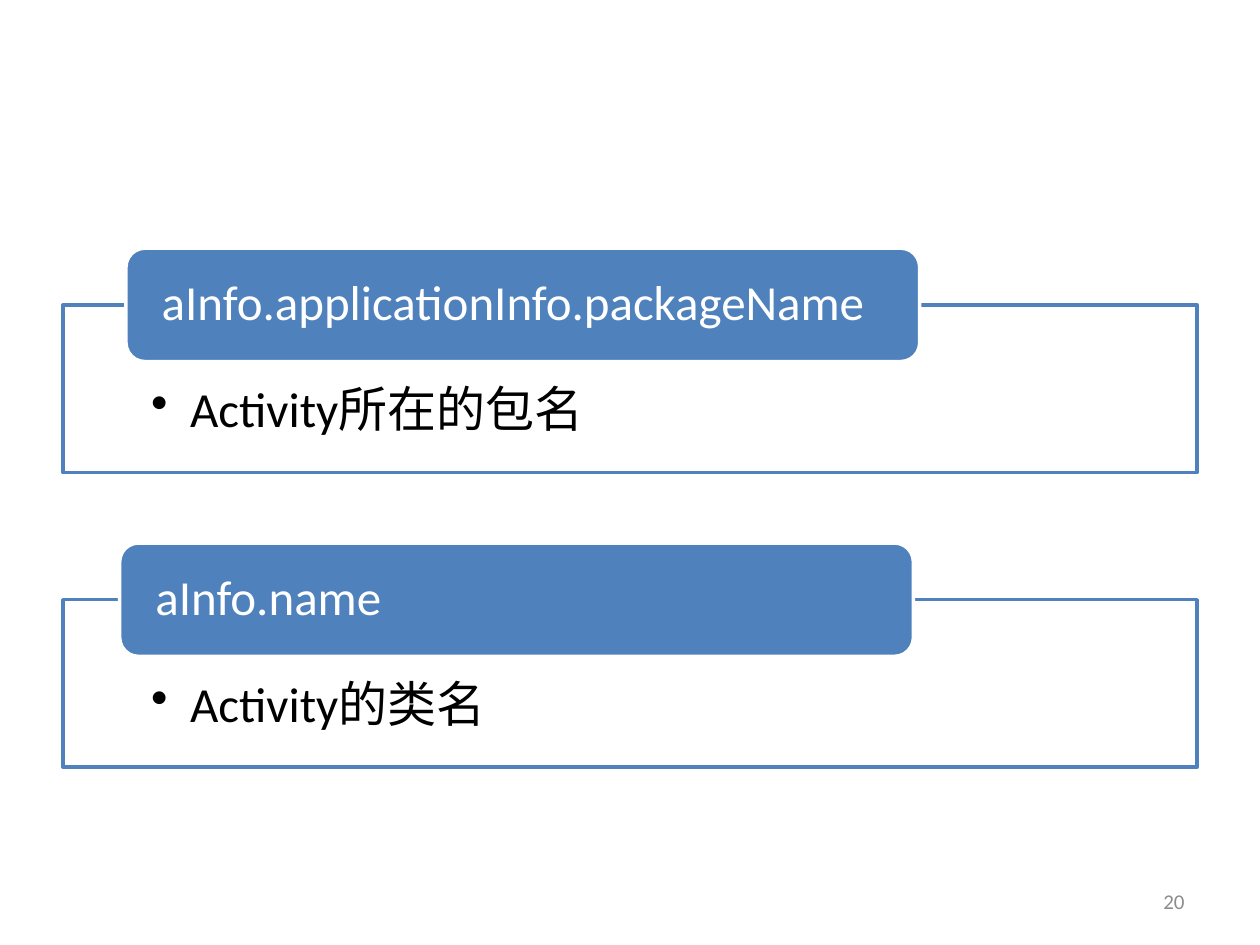
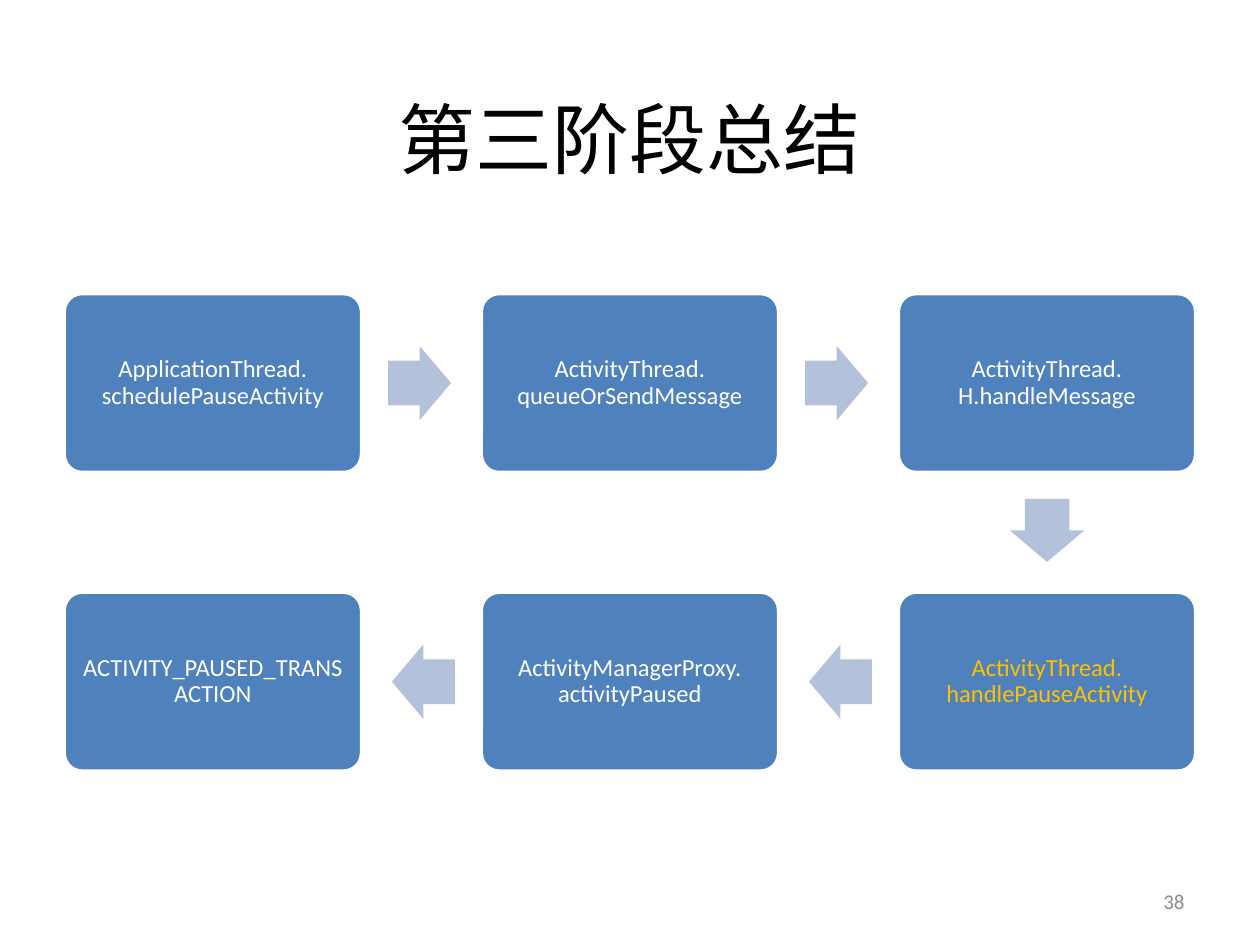
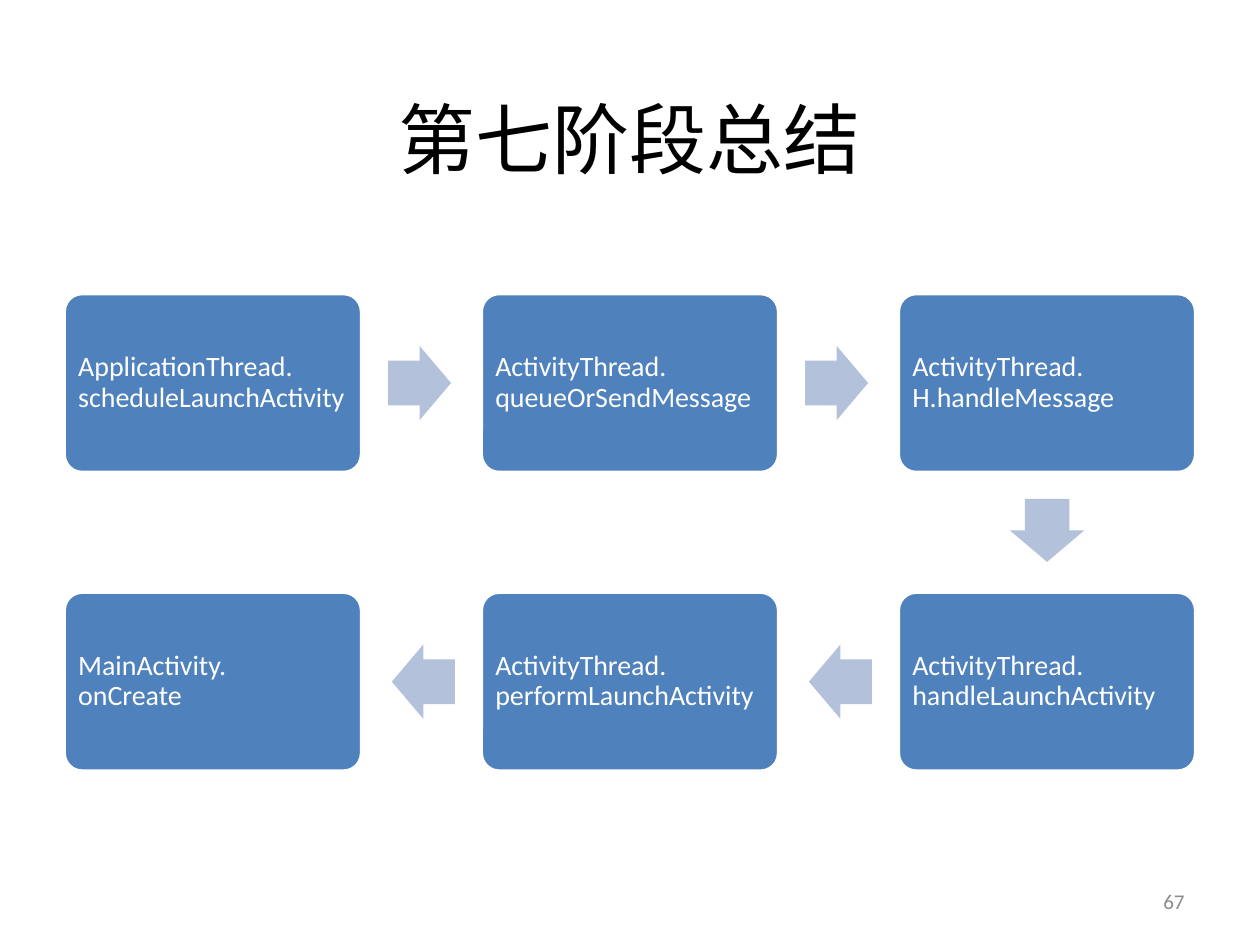
from dataclasses import dataclass
from itertools import pairwise

from lxml.etree import SubElement
from pptx import Presentation
from pptx.dml.color import RGBColor
from pptx.enum.shapes import MSO_SHAPE
from pptx.enum.text import MSO_ANCHOR, PP_ALIGN
from pptx.oxml.ns import qn
from pptx.util import Inches, Pt


@dataclass(frozen=True)
class Theme:
    """Colours, font and type sizes shared by the slides."""

    font: str = "Calibri"
    blue: RGBColor = RGBColor(0x4F, 0x81, 0xBD)
    arrow: RGBColor = RGBColor(0xB3, 0xC1, 0xDB)
    white: RGBColor = RGBColor(0xFF, 0xFF, 0xFF)
    black: RGBColor = RGBColor(0, 0, 0)
    highlight: RGBColor = RGBColor(0xFF, 0xC0, 0x00)
    grey: RGBColor = RGBColor(0x8C, 0x8C, 0x8C)
    title_size: int = 44
    panel_size: int = 28
    number_size: int = 12
    outline: int = 2


THEME = Theme()
TITLE_ONLY, BLANK = 5, 6
STEP_LEFT, STEP_TOP = 0.51, 2.33
STEP_WIDTH, STEP_HEIGHT = 2.36, 1.42
COLUMN_PITCH, ROW_PITCH = 3.31, 2.37
ARROW_LENGTH, ARROW_BREADTH, ARROW_GAP = 0.5, 0.59, 0.21
STEP_CELLS = [(0, 0), (1, 0), (2, 0), (2, 1), (1, 1), (0, 1)]
ARROW_ROTATION = {(1, 0): 0, (0, 1): 90, (-1, 0): 180}

PANELS = [
    (1, 1.97, "aInfo.applicationInfo.packageName", "Activity所在的包名"),
    (0.95, 4.31, "aInfo.name", "Activity的类名"),
]
PAUSE_STEPS = [
    "ApplicationThread.\nschedulePauseActivity",
    "ActivityThread.\nqueueOrSendMessage",
    "ActivityThread.\nH.handleMessage",
    "ActivityThread.\nhandlePauseActivity",
    "ActivityManagerProxy.\nactivityPaused",
    "ACTIVITY_PAUSED_TRANSACTION",
]
LAUNCH_STEPS = [
    "ApplicationThread.\nscheduleLaunchActivity",
    "ActivityThread.\nqueueOrSendMessage",
    "ActivityThread.\nH.handleMessage",
    "ActivityThread.\nhandleLaunchActivity",
    "ActivityThread.\nperformLaunchActivity",
    "MainActivity.\nonCreate",
]


def write(holder, text, size, color, align=PP_ALIGN.LEFT,
          anchor=MSO_ANCHOR.MIDDLE, insets=(0.1, 0.05, 0.1, 0.05)):
    """Write one formatted paragraph and return it."""
    frame = holder.text_frame
    frame.word_wrap = True
    frame.vertical_anchor = anchor
    (frame.margin_left, frame.margin_top,
     frame.margin_right, frame.margin_bottom) = map(Inches, insets)
    paragraph = frame.paragraphs[0]
    paragraph.text = text
    paragraph.alignment = align
    paragraph.font.name = THEME.font
    paragraph.font.size = Pt(size)
    paragraph.font.color.rgb = color
    return paragraph


def add_block(slide, preset, left, top, width, height, fill, line=None):
    """Add a flat preset shape with an optional outline."""
    block = slide.shapes.add_shape(
        preset, Inches(left), Inches(top), Inches(width), Inches(height))
    block.shadow.inherit = False
    block.fill.solid()
    block.fill.fore_color.rgb = fill
    if line is None:
        block.line.fill.background()
    else:
        block.line.color.rgb = line
        block.line.width = Pt(THEME.outline)
    return block


def add_bullet(paragraph, indent):
    """Give a paragraph a round bullet with a hanging indent."""
    properties = paragraph._p.get_or_add_pPr()
    properties.set("marL", str(Inches(indent)))
    properties.set("indent", str(-Inches(indent)))
    SubElement(properties, qn("a:buChar"), char="•")


def add_panel(slide, header_left, header_top, heading, detail):
    """Add an outlined panel with a heading tab over its top edge."""
    panel = add_block(slide, MSO_SHAPE.RECTANGLE, 0.5, header_top + 0.45, 9, 1.33,
                      THEME.white, THEME.blue)
    description = write(panel, detail, THEME.panel_size, THEME.black,
                        anchor=MSO_ANCHOR.TOP, insets=(0.7, 0.64, 0.7, 0.22))
    description.level = 1
    description.line_spacing = 0.9
    add_bullet(description, 0.31)
    header = add_block(slide, MSO_SHAPE.ROUNDED_RECTANGLE, header_left, header_top,
                       6.3, 0.9, THEME.blue, THEME.white)
    write(header, heading, THEME.panel_size, THEME.white,
          insets=(0.24, 0, 0.24, 0)).line_spacing = 0.9


def add_step(slide, cell, text, size, color, align, inset):
    """Add one step of the flow in its grid cell."""
    column, row = cell
    step = add_block(slide, MSO_SHAPE.ROUNDED_RECTANGLE,
                     STEP_LEFT + column * COLUMN_PITCH, STEP_TOP + row * ROW_PITCH,
                     STEP_WIDTH, STEP_HEIGHT, THEME.blue, THEME.white)
    step.adjustments[0] = 0.1
    write(step, text, size, color, align, insets=(inset,) * 4).line_spacing = 0.9


def add_flow_arrow(slide, start, end):
    """Add a block arrow that leaves one cell towards the next."""
    (column, row), (next_column, next_row) = start, end
    across, down = next_column - column, next_row - row
    reach = ARROW_GAP + ARROW_LENGTH / 2
    center_x = (STEP_LEFT + column * COLUMN_PITCH + STEP_WIDTH / 2
                + across * (STEP_WIDTH / 2 + reach))
    center_y = (STEP_TOP + row * ROW_PITCH + STEP_HEIGHT / 2
                + down * (STEP_HEIGHT / 2 + reach))
    arrow = add_block(slide, MSO_SHAPE.RIGHT_ARROW, center_x - ARROW_LENGTH / 2,
                      center_y - ARROW_BREADTH / 2, ARROW_LENGTH, ARROW_BREADTH,
                      THEME.arrow)
    arrow.adjustments[0] = 0.6
    arrow.adjustments[1] = 0.5
    arrow.rotation = ARROW_ROTATION[across, down]


def add_title(slide, text):
    """Place and format the slide title."""
    title = slide.shapes.title
    title.left, title.top = Inches(0.5), Inches(0.55)
    title.width, title.height = Inches(9), Inches(1.09)
    write(title, text, THEME.title_size, THEME.black, PP_ALIGN.CENTER)


def add_slide_number(slide, number):
    """Show the page number at the bottom right."""
    footer = slide.shapes.add_textbox(
        Inches(7.17), Inches(6.95), Inches(2.33), Inches(0.4))
    write(footer, str(number), THEME.number_size, THEME.grey, PP_ALIGN.RIGHT)


def add_panel_slide(deck, panels, number):
    """Build the untitled slide of headed panels."""
    slide = deck.slides.add_slide(deck.slide_layouts[BLANK])
    for panel in panels:
        add_panel(slide, *panel)
    add_slide_number(slide, number)


def add_flow_slide(deck, title, steps, number, size, align, inset, highlighted=None):
    """Build a titled slide whose steps snake through two rows."""
    slide = deck.slides.add_slide(deck.slide_layouts[TITLE_ONLY])
    add_title(slide, title)
    for index, (cell, text) in enumerate(zip(STEP_CELLS, steps)):
        color = THEME.highlight if index == highlighted else THEME.white
        add_step(slide, cell, text, size, color, align, inset)
    for start, end in pairwise(STEP_CELLS):
        add_flow_arrow(slide, start, end)
    add_slide_number(slide, number)


def main():
    """Build and save the deck."""
    deck = Presentation()
    deck.slide_width, deck.slide_height = Inches(10), Inches(7.5)
    add_panel_slide(deck, PANELS, 20)
    add_flow_slide(deck, "第三阶段总结", PAUSE_STEPS, 38, size=14,
                   align=PP_ALIGN.CENTER, inset=0.06, highlighted=3)
    add_flow_slide(deck, "第七阶段总结", LAUNCH_STEPS, 67, size=16,
                   align=PP_ALIGN.LEFT, inset=0.07)
    deck.save("out.pptx")


main()
